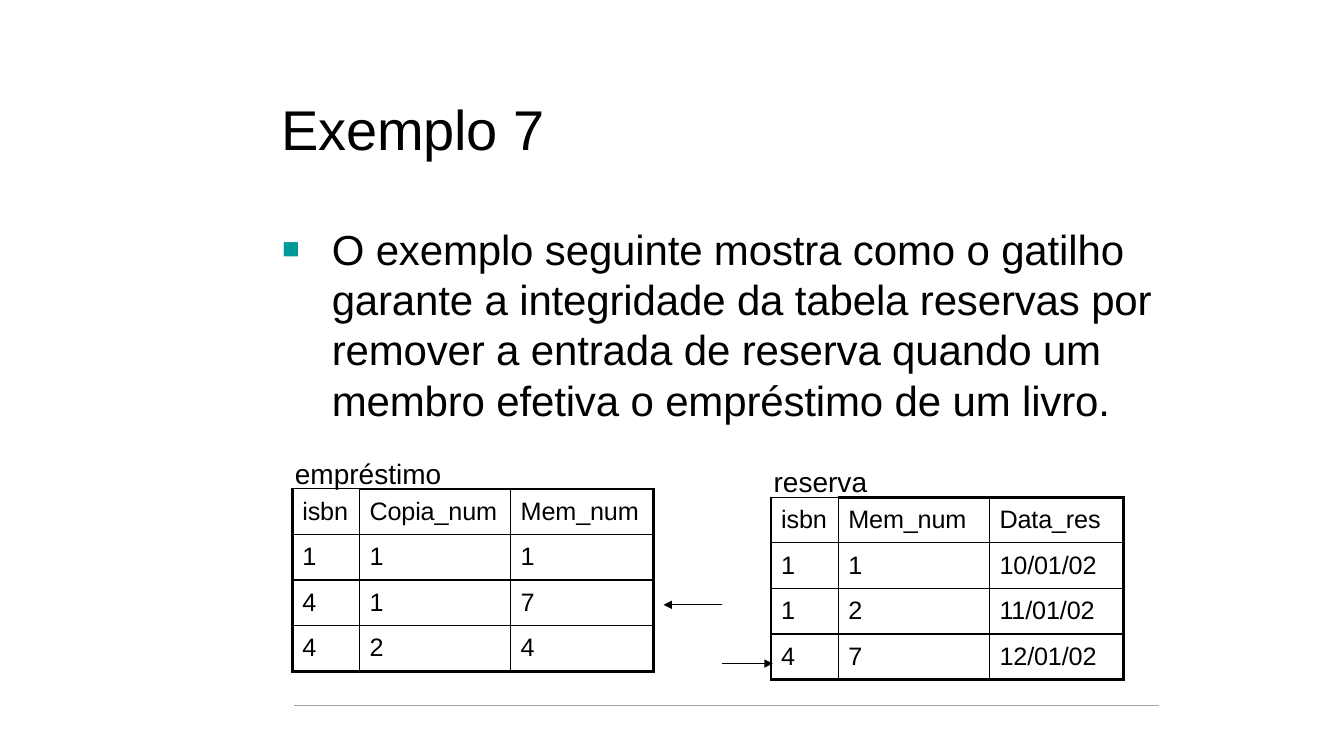
from dataclasses import dataclass

import lxml.etree
import pptx
import pptx.dml.color
import pptx.enum.shapes
import pptx.enum.text
import pptx.oxml.ns
import pptx.util

COLORS = {"ink": "000000", "bullet": "009999", "rule": "9AAC97"}
FONT = "Arial"
COLUMNS, ROWS = 160, 90
WIDTH, HEIGHT = pptx.util.Inches(13.33), pptx.util.Inches(7.5)
TABLE_ROW = 5.43
THIN, THICK = 1, 2.25


@dataclass(frozen=True)
class TextBlock:
    text: str
    left: float
    top: float
    width: float
    height: float
    size: float
    spacing: float = 0
    centred: bool = False
    bullet: str = ""


@dataclass(frozen=True)
class Line:
    start: tuple[float, float]
    end: tuple[float, float]
    color: str = "ink"
    arrow: bool = False


@dataclass(frozen=True)
class DataTable:
    left: float
    top: float
    widths: tuple[float, ...]
    rows: tuple[tuple[str, ...], ...]


TEXTS = (
    TextBlock("Exemplo 7", 33.25, 10.95, 31.8, 8.3, 40, spacing=-0.1, centred=True),
    TextBlock(
        "O exemplo seguinte mostra como o gatilho garante a integridade da tabela "
        "reservas por remover a entrada de reserva quando um membro efetiva o "
        "empréstimo de um livro.",
        33.5, 26.3, 104.4, 24.4, 30, spacing=-0.1, bullet="■",
    ),
    TextBlock("empréstimo", 35.1, 54.1, 17.8, 4.3, 20),
    TextBlock("reserva", 92.1, 55.1, 11.5, 4.3, 20),
)
LINES = (
    Line((35, 84), (138, 84), color="rule"),
    Line((86, 72), (79, 72), arrow=True),
    Line((86, 79), (92, 79), arrow=True),
)
TABLES = (
    DataTable(34.8, 58.2, (8, 18, 17), (
        ("isbn", "Copia_num", "Mem_num"),
        ("1", "1", "1"),
        ("4", "1", "7"),
        ("4", "2", "4"),
    )),
    DataTable(91.8, 59.2, (8, 18, 16), (
        ("isbn", "Mem_num", "Data_res"),
        ("1", "1", "10/01/02"),
        ("1", "2", "11/01/02"),
        ("4", "7", "12/01/02"),
    )),
)


def across(columns: float) -> int:
    return round(WIDTH * columns / COLUMNS)


def down(rows: float) -> int:
    return round(HEIGHT * rows / ROWS)


def rgb(name: str) -> pptx.dml.color.RGBColor:
    return pptx.dml.color.RGBColor.from_string(COLORS[name])


def add_element(parent, tag: str, **attributes: str):
    return lxml.etree.SubElement(parent, pptx.oxml.ns.qn(tag), attributes)


def write_text(text_frame, text: str, *, size: float, spacing: float = 0,
               centred: bool = False, bullet: str = "") -> None:
    paragraph = text_frame.paragraphs[0]
    if centred:
        paragraph.alignment = pptx.enum.text.PP_ALIGN.CENTER
    if bullet:
        properties = paragraph._p.get_or_add_pPr()
        properties.set("marL", str(across(6)))
        properties.set("indent", str(-across(5.9)))
        add_element(add_element(properties, "a:buClr"), "a:srgbClr", val=COLORS["bullet"])
        add_element(properties, "a:buSzPct", val="70000")
        add_element(properties, "a:buFont", typeface=FONT)
        add_element(properties, "a:buChar", char=bullet)
    run = paragraph.add_run()
    run.text = text
    run.font.name = FONT
    run.font.size = pptx.util.Pt(size)
    run.font.color.rgb = rgb("ink")
    run.font._element.set("spc", str(round(spacing * 100)))


def add_text(slide, block: TextBlock) -> None:
    shape = slide.shapes.add_textbox(
        across(block.left), down(block.top), across(block.width), down(block.height))
    text_frame = shape.text_frame
    text_frame.word_wrap = True
    text_frame.auto_size = pptx.enum.text.MSO_AUTO_SIZE.SHAPE_TO_FIT_TEXT
    text_frame.margin_left = text_frame.margin_right = text_frame.margin_bottom = 0
    text_frame.margin_top = down(0.25)
    write_text(text_frame, block.text, size=block.size, spacing=block.spacing,
               centred=block.centred, bullet=block.bullet)


def add_line(slide, line: Line) -> None:
    connector = slide.shapes.add_connector(
        pptx.enum.shapes.MSO_CONNECTOR.STRAIGHT,
        across(line.start[0]), down(line.start[1]), across(line.end[0]), down(line.end[1]))
    connector.line.color.rgb = rgb(line.color)
    connector.line.width = pptx.util.Pt(THIN)
    if line.arrow:
        add_element(connector.line._get_or_add_ln(), "a:tailEnd", type="triangle")
    add_element(connector._element.spPr, "a:effectLst")


def set_borders(cell, widths: dict[str, float]) -> None:
    properties = cell._tc.get_or_add_tcPr()
    for side, width in widths.items():
        border = add_element(properties, f"a:ln{side}", w=str(pptx.util.Pt(width)))
        add_element(add_element(border, "a:solidFill"), "a:srgbClr", val=COLORS["ink"])


def add_data_table(slide, data: DataTable) -> None:
    row_count, column_count = len(data.rows), len(data.widths)
    table = slide.shapes.add_table(
        row_count, column_count, across(data.left), down(data.top),
        across(sum(data.widths)), down(TABLE_ROW * row_count)).table
    table.first_row = table.horz_banding = False
    for column, width in zip(table.columns, data.widths):
        column.width = across(width)
    for row_index, values in enumerate(data.rows):
        table.rows[row_index].height = down(TABLE_ROW)
        for column_index, value in enumerate(values):
            cell = table.cell(row_index, column_index)
            cell.margin_left, cell.margin_top = across(1.2), down(1)
            cell.margin_right = cell.margin_bottom = 0
            write_text(cell.text_frame, value, size=18, spacing=-0.1 if len(value) > 1 else 0)
            thick_sides = {
                "L": column_index == 0,
                "R": column_index == column_count - 1,
                "T": row_index == 0 and column_index > 0,
                "B": row_index == row_count - 1,
            }
            set_borders(cell, {side: THICK if thick else THIN
                               for side, thick in thick_sides.items()})
            cell.fill.background()


def main() -> None:
    presentation = pptx.Presentation()
    presentation.slide_width, presentation.slide_height = WIDTH, HEIGHT
    slide = presentation.slides.add_slide(presentation.slide_layouts[6])
    for block in TEXTS:
        add_text(slide, block)
    for data in TABLES:
        add_data_table(slide, data)
    for line in LINES:
        add_line(slide, line)
    presentation.save("out.pptx")


if __name__ == "__main__":
    main()
